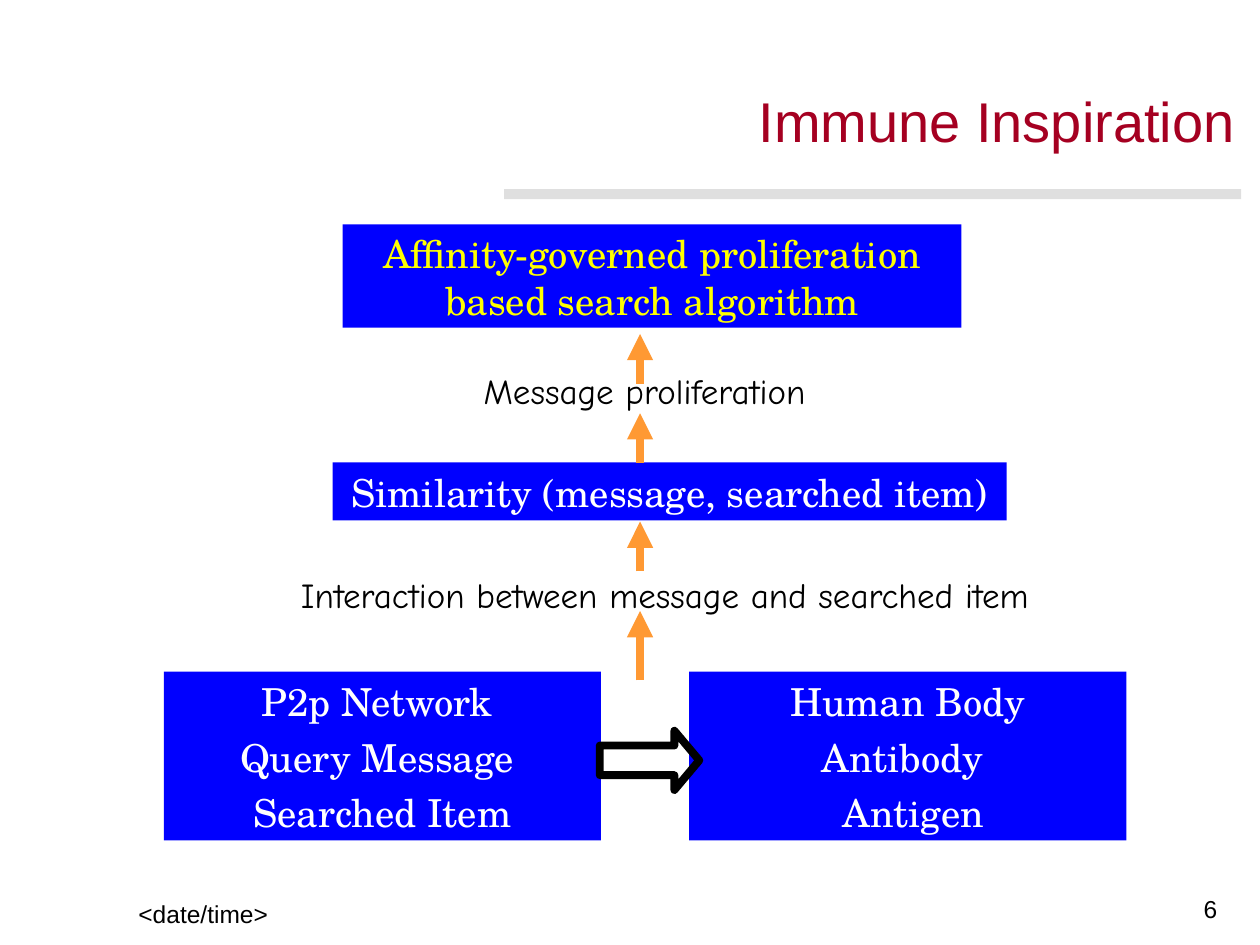
from lxml.etree import SubElement
from pptx import Presentation
from pptx.dml.color import RGBColor
from pptx.enum.shapes import MSO_CONNECTOR, MSO_SHAPE
from pptx.enum.text import MSO_ANCHOR, MSO_AUTO_SIZE, PP_ALIGN
from pptx.oxml.ns import qn
from pptx.util import Inches, Pt

BLUE = RGBColor(0x00, 0x00, 0xFF)
WHITE = RGBColor(0xFF, 0xFF, 0xFF)
YELLOW = RGBColor(0xFF, 0xFF, 0x00)
ORANGE = RGBColor(0xFF, 0x99, 0x33)
BLACK = RGBColor(0x00, 0x00, 0x00)
RED = RGBColor(0xA5, 0x00, 0x21)
GREY = RGBColor(0xC0, 0xC0, 0xC0)
SANS, COMIC, SERIF = "Arial", "Comic Neue", "TeX Gyre Schola"
COLS, ROWS = 100, 75
CELL = Inches(0.1)


def grid(*cells):
    """Turn counts of grid cells into lengths."""
    return [round(cell * CELL) for cell in cells]


def write(shape, lines, font, size, color, align=PP_ALIGN.LEFT, pad=(0.1, 0.05),
          gap=0, wrap=True, grow=True, anchor=MSO_ANCHOR.TOP):
    """Fill a shape with one paragraph for each line."""
    frame = shape.text_frame
    frame.word_wrap = wrap
    frame.auto_size = MSO_AUTO_SIZE.SHAPE_TO_FIT_TEXT if grow else MSO_AUTO_SIZE.NONE
    frame.vertical_anchor = anchor
    frame.margin_left = frame.margin_right = Inches(pad[0])
    frame.margin_top = frame.margin_bottom = Inches(pad[1])
    for num, line in enumerate(lines):
        para = frame.add_paragraph() if num else frame.paragraphs[0]
        para.alignment = align
        if num:
            para.space_before = Pt(gap)
        run = para.add_run()
        run.text = line
        run.font.name, run.font.size = font, Pt(size)
        run.font.color.rgb = color
    return frame


def label(slide, box, line, font, size, **style):
    """Place a plain black line of text."""
    text = slide.shapes.add_textbox(*grid(*box))
    write(text, [line], font, size, BLACK, **style)


def form(slide, kind, box, fill=None):
    """Place a preset shape without shadow or outline."""
    shape = slide.shapes.add_shape(kind, *grid(*box))
    shape.shadow.inherit = False
    shape.line.fill.background()
    if fill is None:
        shape.fill.background()
    else:
        shape.fill.solid()
        shape.fill.fore_color.rgb = fill
    return shape


def panel(slide, box, lines, color=WHITE):
    """Place a blue box with centred lines."""
    shape = form(slide, MSO_SHAPE.RECTANGLE, box, BLUE)
    write(shape, lines, SERIF, 22, color, PP_ALIGN.CENTER, (0.09, 0.05), 5.5)


def rise(slide, x, low, high):
    """Draw an orange arrow that points up."""
    arrow = slide.shapes.add_connector(MSO_CONNECTOR.STRAIGHT, *grid(x, low, x, high))
    arrow.line.color.rgb = ORANGE
    arrow.line.width = Pt(5)
    SubElement(arrow.line._get_or_add_ln(), qn("a:tailEnd"), type="triangle")
    SubElement(arrow._element.spPr, qn("a:effectLst"))


def head(slide, box):
    """Place the title over its grey rule."""
    x, y, w, h = box
    rule = form(slide, MSO_SHAPE.ROUNDED_RECTANGLE, (x, y + h - 0.8, w, 0.8), GREY)
    rule.adjustments[0] = 0.02
    tint = rule.fill._xPr.find(qn("a:solidFill"))[0]
    SubElement(tint, qn("a:alpha"), val="50000")
    title = form(slide, MSO_SHAPE.RECTANGLE, (x + w - 38.3, y, 37.9, 4.6))
    frame = write(title, ["Immune Inspiration"], SANS, 32, RED, pad=(0, 0), wrap=False)
    frame.paragraphs[0].line_spacing = Pt(33.2)


def chain(slide, box):
    """Stack the steps that lead up to the algorithm."""
    x, y, w, h = box
    panel(slide, (x + 4.3, y, 49.1, 8.2),
          ["Affinity-governed proliferation based search algorithm"], YELLOW)
    panel(slide, (x + 3.5, y + 18.9, 53.5, 4.6), ["Similarity (message, searched item)"])
    rise(slide, x + 27.9, y + h, y + h - 5.5)
    label(slide, (x, y + 27.2, w, 4.4),
          "Interaction between message and searched item", COMIC, 20, wrap=False)
    label(slide, (x + 14.5, y + 11, 27.7, 4.4),
          "Message proliferation", COMIC, 20, wrap=False)
    for tip in (23.6, 15, 8.7):
        rise(slide, x + 27.9, y + tip + 3.95, y + tip)


def pair(slide, box):
    """Set the two worlds side by side with an arrow between."""
    x, y, w, h = box
    side = 34.7
    panel(slide, (x, y, side, h), ["P2p Network ", "Query Message ", "Searched Item"])
    panel(slide, (x + w - side, y, side, h), [" Human Body ", "Antibody ", " Antigen"])
    arrow = form(slide, MSO_SHAPE.RIGHT_ARROW, (x + side - 0.1, y + 4.7, 7.9, 4.7))
    arrow.adjustments[1] = 0.42
    arrow.line.color.rgb = BLACK
    arrow.line.width = Pt(4.5)


def foot(slide, box):
    """Place the date and the slide number."""
    x, y, w, h = box
    label(slide, (x, y, 20.8, h), "<date/time>", SANS, 14,
          grow=False, anchor=MSO_ANCHOR.BOTTOM)
    label(slide, (x + w - 20.8, y + 1.2, 20.8, 3.4), "6", SANS, 14,
          align=PP_ALIGN.RIGHT, anchor=MSO_ANCHOR.BOTTOM)


def main():
    """Build the slide and save it."""
    deck = Presentation()
    deck.slide_width, deck.slide_height = grid(COLS, ROWS)
    slide = deck.slides.add_slide(deck.slide_layouts[6])
    head(slide, (40, 7.6, 58.5, 8.2))
    chain(slide, (22.9, 17.8, 60.1, 36.2))
    pair(slide, (13, 53.3, 76.4, 13.4))
    foot(slide, (10, 69.2, 87.6, 5))
    deck.save("out.pptx")


if __name__ == "__main__":
    main()
